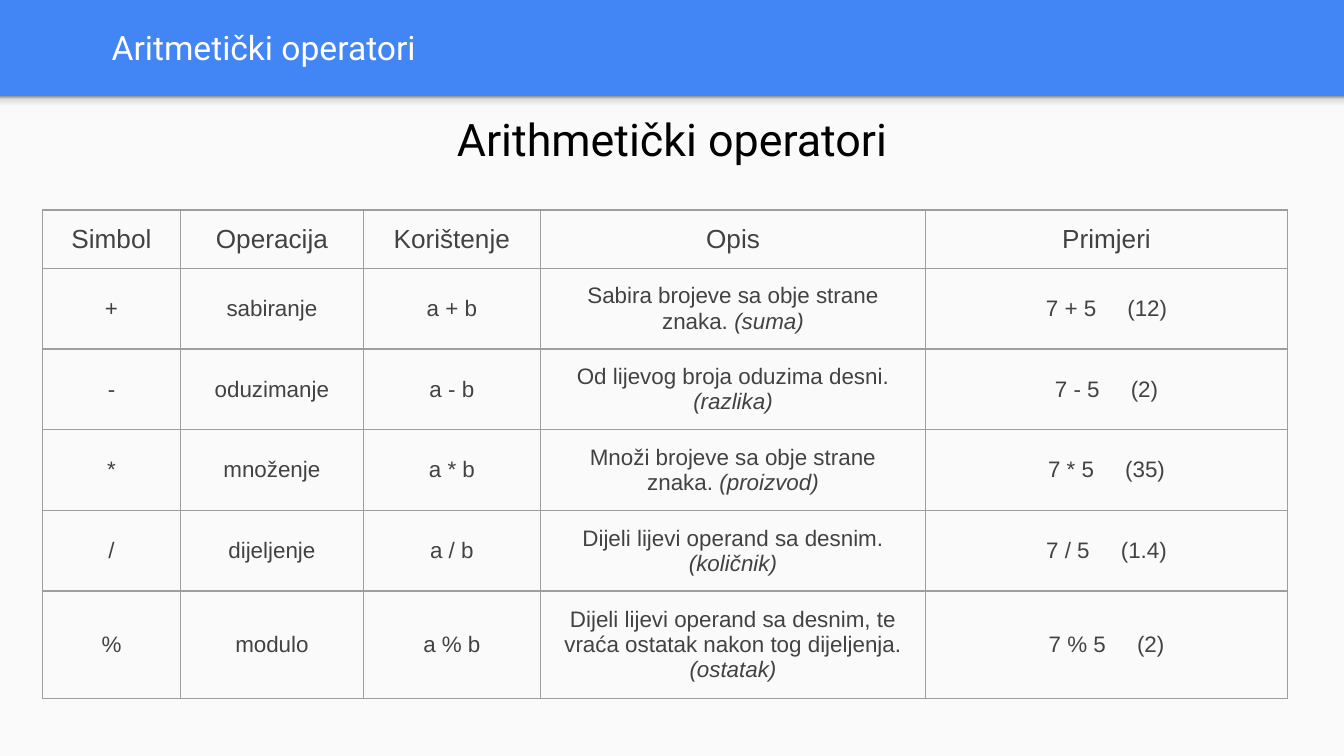
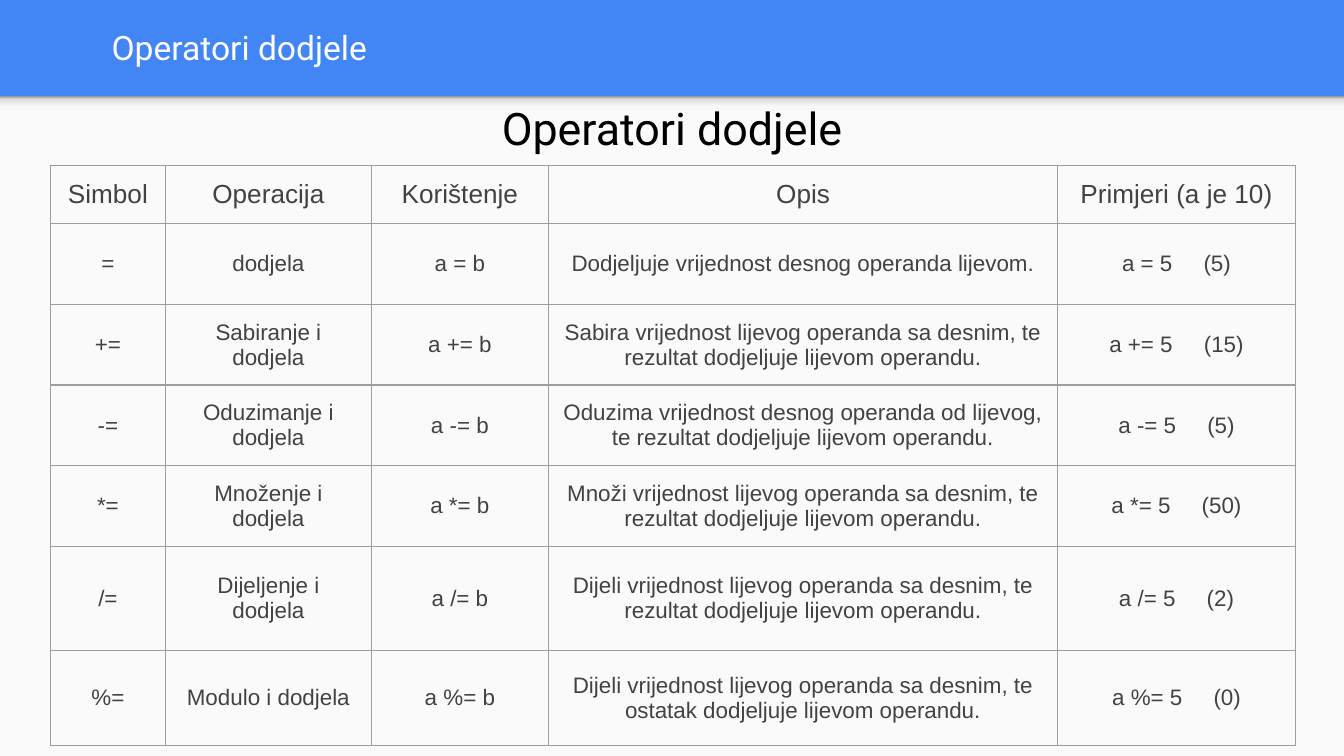
"""Build two slides with tables of arithmetic and assignment operators."""
from lxml.etree import SubElement
from pptx import Presentation
from pptx.dml.color import RGBColor
from pptx.enum.shapes import MSO_SHAPE
from pptx.enum.text import MSO_ANCHOR, MSO_AUTO_SIZE, PP_ALIGN
from pptx.oxml.ns import qn
from pptx.util import Pt

HUES = {"blue": "4285F4", "panel": "FAFAFA", "white": "FFFFFF",
        "black": "000000", "text": "424242", "rule": "9E9E9E"}
SHADE = [(0, "F9F9F9"), (36, "F9F9F9"), (80, "DEDEDE"), (100, "999999")]
WIDE, HIGH, BAND = 720, 405, 51.6
INSET = 7.2
GAP = 13.3

PAGES = [
    {"title": "Aritmetički operatori",
     "head": "Arithmetički operatori", "head_top": 52.6,
     "left": 22.8, "top": 112.5,
     "cols": [73.9, 98, 94.8, 206.5, 193.7],
     "rows": [31.2, 43.2, 43.2, 43.2, 43.2, 57.6],
     "cells": [
         ("Simbol", "Operacija", "Korištenje", "Opis", "Primjeri"),
         ("+", "sabiranje", "a + b",
          "Sabira brojeve sa obje strane znaka. (suma)", "7 + 5 (12)"),
         ("-", "oduzimanje", "a - b",
          "Od lijevog broja oduzima desni. (razlika)", "7 - 5 (2)"),
         ("*", "množenje", "a * b",
          "Množi brojeve sa obje strane znaka. (proizvod)", "7 * 5 (35)"),
         ("/", "dijeljenje", "a / b",
          "Dijeli lijevi operand sa desnim. (količnik)", "7 / 5 (1.4)"),
         ("%", "modulo", "a % b",
          "Dijeli lijevi operand sa desnim, te vraća ostatak nakon tog "
          "dijeljenja. (ostatak)", "7 % 5 (2)"),
     ]},
    {"title": "Operatori dodjele",
     "head": "Operatori dodjele", "head_top": 46.8,
     "left": 27, "top": 88.6,
     "cols": [61.6, 110.4, 94.8, 272.9, 127.2],
     "rows": [31.2, 43.2, 43.2, 43.2, 43.2, 55.6, 51.2],
     "cells": [
         ("Simbol", "Operacija", "Korištenje", "Opis", "Primjeri (a je 10)"),
         ("=", "dodjela", "a = b",
          "Dodjeljuje vrijednost desnog operanda lijevom.", "a = 5 (5)"),
         ("+=", "Sabiranje i dodjela", "a += b",
          "Sabira vrijednost lijevog operanda sa desnim, te rezultat "
          "dodjeljuje lijevom operandu.", "a += 5 (15)"),
         ("-=", "Oduzimanje i dodjela", "a -= b",
          "Oduzima vrijednost desnog operanda od lijevog, te rezultat "
          "dodjeljuje lijevom operandu.", "a -= 5 (5)"),
         ("*=", "Množenje i dodjela", "a *= b",
          "Množi vrijednost lijevog operanda sa desnim, te rezultat "
          "dodjeljuje lijevom operandu.", "a *= 5 (50)"),
         ("/=", "Dijeljenje i dodjela", "a /= b",
          "Dijeli vrijednost lijevog operanda sa desnim, te rezultat "
          "dodjeljuje lijevom operandu.", "a /= 5 (2)"),
         ("%=", "Modulo i dodjela", "a %= b",
          "Dijeli vrijednost lijevog operanda sa desnim, te ostatak "
          "dodjeljuje lijevom operandu.", "a %= 5 (0)"),
     ]},
]


def color(name):
    return RGBColor.from_string(HUES[name])


def style(para, face, size, hue, align):
    para.font.name = face
    para.font.size = Pt(size)
    para.font.color.rgb = color(hue)
    para.alignment = align


def pad(item):
    for side in ("left", "top", "right", "bottom"):
        setattr(item, f"margin_{side}", Pt(INSET))


def place(item, left, top, width, height):
    item.left, item.top = Pt(left), Pt(top)
    item.width, item.height = Pt(width), Pt(height)


def add_rect(slide, top, height):
    rect = slide.shapes.add_shape(
        MSO_SHAPE.RECTANGLE, Pt(0), Pt(top), Pt(WIDE), Pt(height))
    rect.shadow.inherit = False
    rect.line.fill.background()
    return rect


def dress(deck, layout, slide):
    back = deck.slide_master.background.fill
    back.solid()
    back.fore_color.rgb = color("blue")
    place(layout.placeholders[0], 52.6, 1.4, 667.4, 47.5)

    panel = add_rect(slide, BAND, HIGH - BAND)
    panel.fill.solid()
    panel.fill.fore_color.rgb = color("panel")

    shadow = add_rect(slide, BAND, 8.6)
    shadow.fill.gradient()
    shadow.fill.gradient_angle = 90
    stops = shadow.element.spPr.find(qn("a:gradFill")).find(qn("a:gsLst"))
    stops.clear()
    for spot, hue in SHADE:
        stop = SubElement(stops, qn("a:gs"), pos=str(spot * 1000))
        SubElement(stop, qn("a:srgbClr"), val=hue)

    for num, part in enumerate((panel, shadow)):
        part.element.nvSpPr.cNvPr.set("id", str(20 + num))
        layout.shapes.element.insert(2 + num, part.element)


def add_heads(slide, page):
    title = slide.shapes.title
    title.text = page["title"]
    frame = title.text_frame
    frame.auto_size = MSO_AUTO_SIZE.NONE
    frame.vertical_anchor = MSO_ANCHOR.MIDDLE
    pad(frame)
    style(frame.paragraphs[0], "Roboto", 18, "white", PP_ALIGN.LEFT)

    box = slide.shapes.add_textbox(
        Pt(132.2), Pt(page["head_top"]), Pt(455.6), Pt(43.9))
    frame = box.text_frame
    frame.text = page["head"]
    frame.word_wrap = True
    frame.auto_size = MSO_AUTO_SIZE.SHAPE_TO_FIT_TEXT
    pad(frame)
    style(frame.paragraphs[0], "Roboto", 24, "black", PP_ALIGN.CENTER)


def add_run(para, text):
    run = para.add_run()
    run.text = text
    return run


def write(para, text, row, col):
    lead, mark, rest = text.partition(" (")
    if row == 0 or col < 3 or not mark:
        add_run(para, text)
    elif col == 3:
        add_run(para, lead + " ")
        add_run(para, "(" + rest).font.italic = True
    else:
        add_run(para, lead)
        space = add_run(para, " ")
        space.font._element.set("spc", str(round(GAP * 100)))
        add_run(para, "(" + rest)


def frame_cell(cell):
    props = cell._tc.get_or_add_tcPr()
    for side in ("lnL", "lnR", "lnT", "lnB"):
        line = SubElement(props, qn(f"a:{side}"), w=str(Pt(0.75)))
        fill = SubElement(line, qn("a:solidFill"))
        SubElement(fill, qn("a:srgbClr"), val=HUES["rule"])
    cell.fill.background()


def add_grid(slide, page):
    cols, rows = page["cols"], page["rows"]
    grid = slide.shapes.add_table(
        len(rows), len(cols), Pt(page["left"]), Pt(page["top"]),
        Pt(sum(cols)), Pt(sum(rows))).table
    grid.first_row = grid.horz_banding = False
    for col, width in zip(grid.columns, cols):
        col.width = Pt(width)
    for row, height in zip(grid.rows, rows):
        row.height = Pt(height)
    for r, texts in enumerate(page["cells"]):
        for c, text in enumerate(texts):
            cell = grid.cell(r, c)
            pad(cell)
            cell.vertical_anchor = MSO_ANCHOR.MIDDLE
            frame_cell(cell)
            para = cell.text_frame.paragraphs[0]
            style(para, "Arial", 12 if r else 14, "text", PP_ALIGN.CENTER)
            write(para, text, r, c)


def main():
    deck = Presentation()
    deck.slide_width, deck.slide_height = Pt(WIDE), Pt(HIGH)
    layout = deck.slide_layouts[5]
    for num, page in enumerate(PAGES):
        slide = deck.slides.add_slide(layout)
        if num == 0:
            dress(deck, layout, slide)
        add_heads(slide, page)
        add_grid(slide, page)
    deck.save("out.pptx")


if __name__ == "__main__":
    main()
